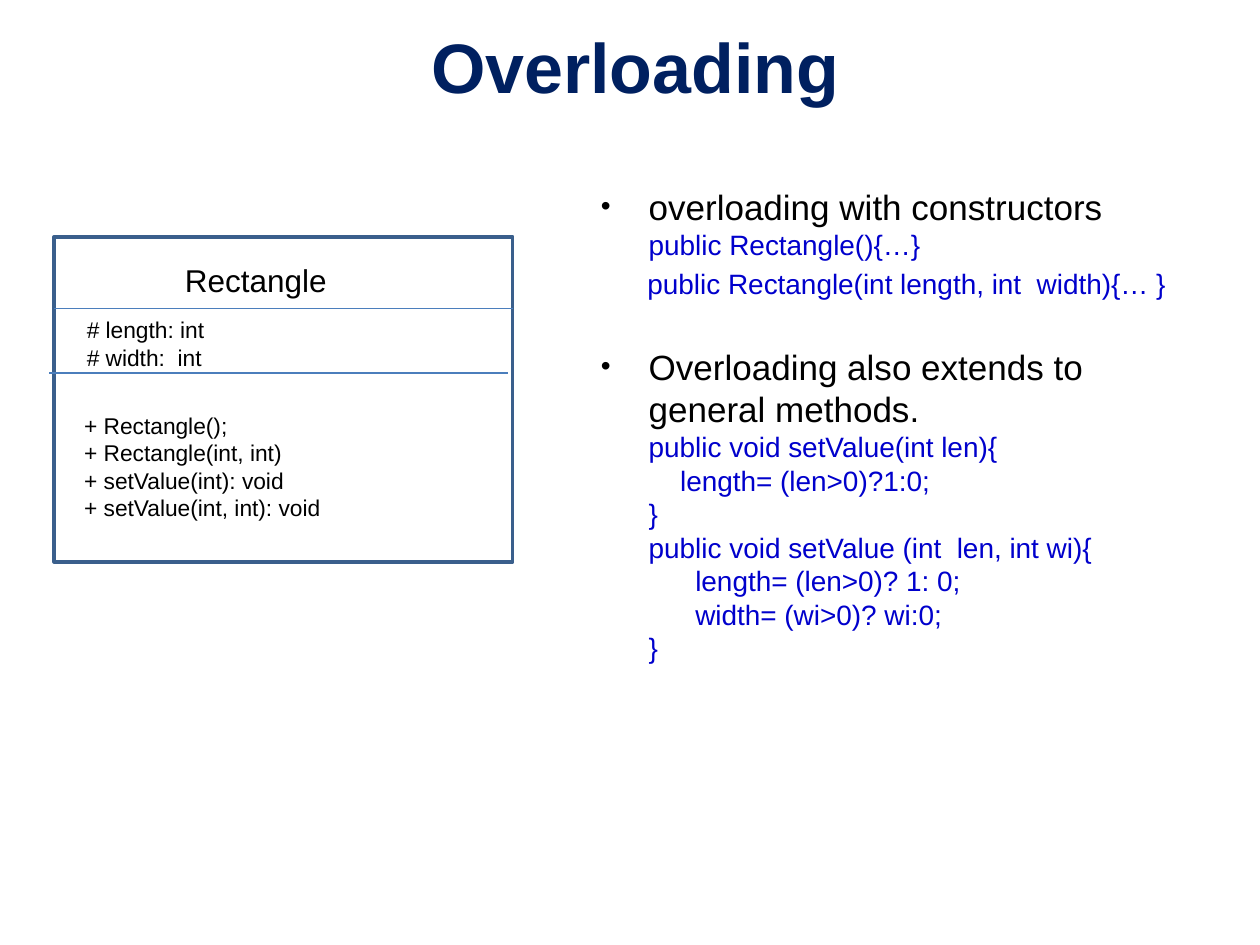
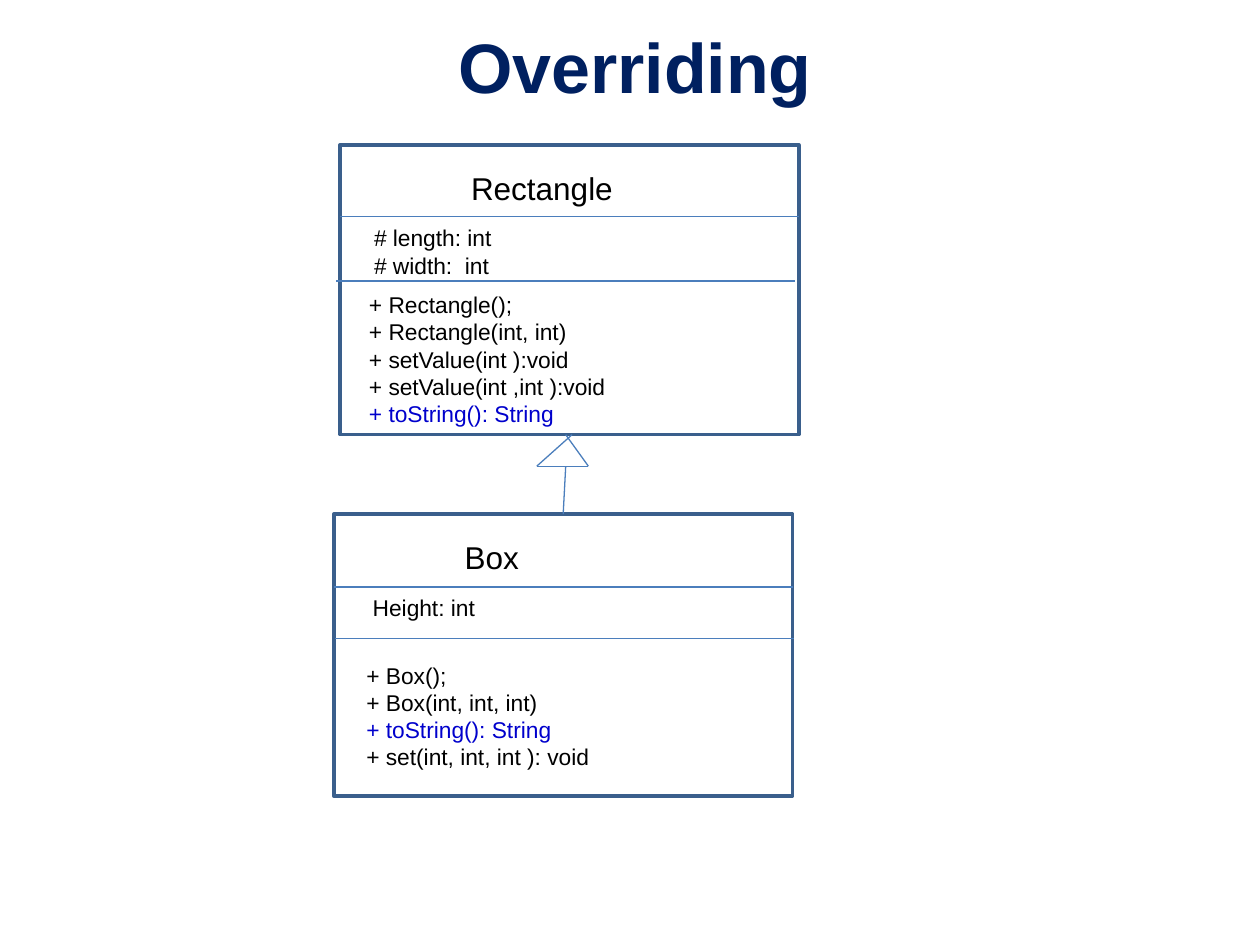
"""Build two slides on method overloading and overriding with UML class boxes."""
from dataclasses import dataclass

from lxml.etree import SubElement
from pptx import Presentation
from pptx.dml.color import RGBColor
from pptx.enum.shapes import MSO_CONNECTOR as Connector, MSO_SHAPE as Preset
from pptx.enum.text import MSO_ANCHOR as Anchor, PP_ALIGN as Align
from pptx.oxml.ns import qn
from pptx.shapes.autoshape import Shape
from pptx.shapes.connector import Connector as Line
from pptx.slide import Slide
from pptx.util import Emu, Pt

EMU_PER_PX = 9144
LINE_PITCH = 1.2
COLORS = {
    "title": "002060",
    "text": "000000",
    "code": "0000CC",
    "outline": "3A5F8C",
    "divider": "4B7EBC",
}
FORMATS = {
    "title": {"size": Pt(40), "bold": True},
    "topic": {"size": Pt(20)},
    "code": {"size": Pt(16)},
    "name": {"size": Pt(18)},
    "member": {"size": Pt(13)},
}


@dataclass(frozen=True)
class TextLine:
    """One line of text with its format, indent in px and space before in points."""
    text: str
    style: str
    color: str = "text"
    indent: int = 0
    before: float = 0
    bullet: bool = False


@dataclass(frozen=True)
class Block:
    """A place in px."""
    left: int
    top: int
    width: int
    height: int


@dataclass(frozen=True)
class ClassBox:
    """A UML class with its frame, compartments and members."""
    name: str
    frame: Block
    name_width: int
    name_rule: int
    attributes: tuple[str, ...]
    attributes_place: Block
    attributes_rule: tuple[int, int]
    methods: tuple[str, ...]
    methods_place: Block


def px(length: int) -> Emu:
    """Turn px into EMU."""
    return Emu(length * EMU_PER_PX)


def place(block: Block) -> tuple[Emu, ...]:
    """Return the four lengths of a block in EMU."""
    return px(block.left), px(block.top), px(block.width), px(block.height)


def rgb(key: str) -> RGBColor:
    """Look up a colour."""
    return RGBColor.from_string(COLORS[key])


def add_bullet(properties) -> None:
    """Give a paragraph a round bullet at 80 percent."""
    color = SubElement(properties, qn("a:buClr"))
    SubElement(color, qn("a:srgbClr"), val=COLORS["text"])
    SubElement(properties, qn("a:buSzPct"), val="80000")
    SubElement(properties, qn("a:buFont"), typeface="Arial")
    SubElement(properties, qn("a:buChar"), char="•")


def add_text(slide: Slide, block: Block, lines: list[TextLine], wrap: bool = True,
             align: Align = Align.LEFT, anchor: Anchor = Anchor.TOP) -> None:
    """Write lines of text in a text box."""
    frame = slide.shapes.add_textbox(*place(block)).text_frame
    for key, value in {"word_wrap": wrap, "vertical_anchor": anchor}.items():
        setattr(frame, key, value)
    for index, line in enumerate(lines):
        paragraph = frame.add_paragraph() if index else frame.paragraphs[0]
        run = paragraph.add_run()
        run.text = line.text
        formats = {"name": "Arial", **FORMATS[line.style]}
        for key, value in formats.items():
            setattr(run.font, key, value)
        run.font.color.rgb = rgb(line.color)
        spacing = {
            "alignment": align,
            "line_spacing": Pt(formats["size"].pt * LINE_PITCH),
            "space_before": Pt(line.before),
        }
        for key, value in spacing.items():
            setattr(paragraph, key, value)
        properties = paragraph._p.get_or_add_pPr()
        properties.set("marL", str(px(line.indent)))
        properties.set("indent", str(px(-line.indent if line.bullet else 0)))
        if line.bullet:
            add_bullet(properties)


def add_title(slide: Slide, title: str) -> None:
    """Write the slide title."""
    add_text(slide, Block(54, 13, 900, 78), [TextLine(title, "title", "title")],
             align=Align.CENTER, anchor=Anchor.MIDDLE)


def add_line(slide: Slide, start: tuple[int, int], end: tuple[int, int]) -> Line:
    """Draw a thin line between two points."""
    line = slide.shapes.add_connector(Connector.STRAIGHT, *map(px, start + end))
    line.line.color.rgb = rgb("divider")
    line.line.width = Pt(0.75)
    SubElement(line._element.spPr, qn("a:effectLst"))
    return line


def member_lines(members: tuple[str, ...]) -> list[TextLine]:
    """Format members, with the overridden method in the code colour."""
    return [TextLine(member, "member", "code" if "toString" in member else "text")
            for member in members]


def add_class(slide: Slide, box: ClassBox) -> Shape:
    """Draw a class box and return its frame."""
    area = box.frame
    frame = slide.shapes.add_shape(Preset.RECTANGLE, *place(area))
    frame.shadow.inherit = False
    frame.fill.background()
    frame.line.color.rgb = rgb("outline")
    frame.line.width = Pt(2)
    for left, top in ((area.left, box.name_rule), box.attributes_rule):
        add_line(slide, (left, top), (left + area.width, top))
    name_place = Block(area.left + 94, area.top + 14, box.name_width, 40)
    add_text(slide, name_place, [TextLine(box.name, "name")], wrap=False)
    add_text(slide, box.attributes_place, member_lines(box.attributes), wrap=False)
    add_text(slide, box.methods_place, member_lines(box.methods))
    return frame


RECTANGLE_ATTRIBUTES = ("# length: int", "# width:  int")
OVERLOADED = ClassBox(
    "Rectangle", Block(43, 188, 364, 258), 134, 245,
    RECTANGLE_ATTRIBUTES, Block(59, 246, 115, 76), (39, 296),
    ("+ Rectangle();", "+ Rectangle(int, int)", "+ setValue(int): void",
     "+ setValue(int, int): void"),
    Block(57, 322, 210, 98),
)
PARENT = ClassBox(
    "Rectangle", Block(270, 115, 364, 230), 134, 172,
    RECTANGLE_ATTRIBUTES, Block(287, 173, 115, 76), (267, 223),
    ("+ Rectangle();", "+ Rectangle(int, int)", "+ setValue(int ):void",
     "+ setValue(int ,int ):void", "+ toString(): String"),
    Block(283, 226, 319, 119),
)
CHILD = ClassBox(
    "Box", Block(265, 408, 364, 224), 64, 466,
    ("Height: int",), Block(286, 466, 103, 54), (266, 507),
    ("+ Box();", "+ Box(int, int, int)", "+ toString(): String",
     "+ set(int, int, int ): void"),
    Block(281, 520, 334, 98),
)
EXPLANATION = [
    TextLine("overloading with constructors", "topic", indent=38, bullet=True),
    TextLine("public Rectangle(){…}", "code", "code", 38),
    TextLine("public Rectangle(int length, int  width){… }", "code", "code", 37, 3.2),
    TextLine("Overloading also extends to general methods.", "topic", indent=38,
             before=26, bullet=True),
    TextLine("public void setValue(int len){", "code", "code", 38),
    TextLine("length= (len>0)?1:0;", "code", "code", 63),
    TextLine("}", "code", "code", 38),
    TextLine("public void setValue (int  len, int wi){", "code", "code", 38),
    TextLine("length= (len>0)? 1: 0;", "code", "code", 75),
    TextLine("width= (wi>0)? wi:0;", "code", "code", 75),
    TextLine("}", "code", "code", 38),
]
ARROWHEAD = (
    ((449, 345), (467, 370)),
    ((454, 345), (426, 370)),
    ((426, 370), (467, 370)),
)


def build_overloading(slide: Slide) -> None:
    """Show overloaded constructors and methods beside their class."""
    add_title(slide, "Overloading")
    add_text(slide, Block(467, 142, 483, 528), EXPLANATION)
    add_class(slide, OVERLOADED)


def build_overriding(slide: Slide) -> None:
    """Show a child class that overrides a method of its parent."""
    add_title(slide, "Overriding")
    child_frame = add_class(slide, CHILD)
    add_class(slide, PARENT)
    inheritance = add_line(slide, (447, 408), (449, 370))
    inheritance.begin_connect(child_frame, 0)
    for start, end in ARROWHEAD:
        add_line(slide, start, end)


def main() -> None:
    """Build and save the presentation."""
    deck = Presentation()
    deck.slide_width, deck.slide_height = px(1000), px(750)
    for build in (build_overloading, build_overriding):
        build(deck.slides.add_slide(deck.slide_layouts[6]))
    deck.save("out.pptx")


if __name__ == "__main__":
    main()
